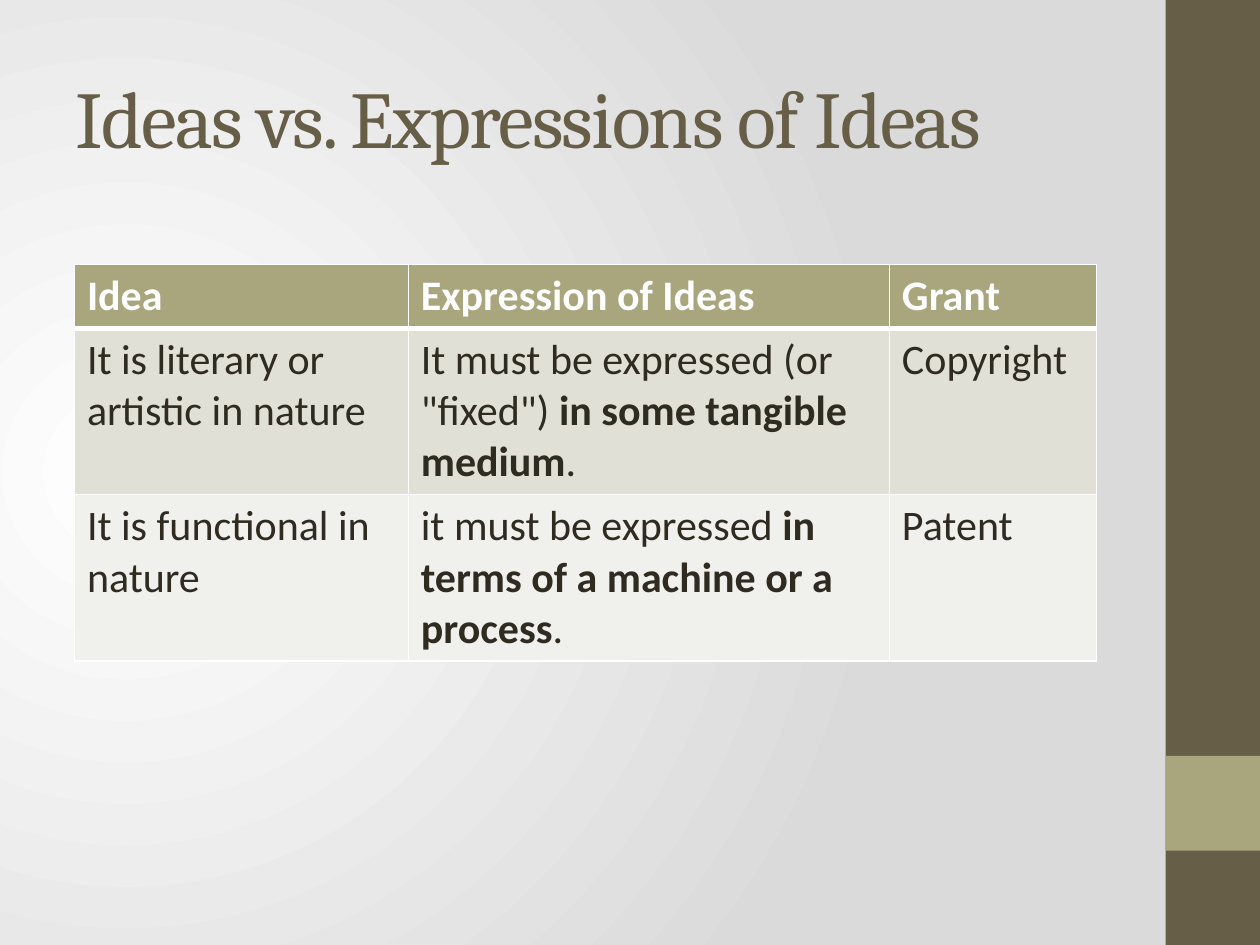
from dataclasses import dataclass

from lxml import etree
from pptx import Presentation
from pptx import util as u
from pptx.dml.color import RGBColor
from pptx.enum import shapes, text
from pptx.oxml import ns

BROWN = RGBColor(0x67, 0x5E, 0x47)
OLIVE = RGBColor(0xA9, 0xA5, 0x7C)
INK = RGBColor(0x2F, 0x2B, 0x20)
WHITE = RGBColor(0xFF, 0xFF, 0xFF)
GREY = RGBColor(0xDA, 0xDA, 0xDA)
DARK_BAND = RGBColor(0xE1, 0xE0, 0xD7)
LIGHT_BAND = RGBColor(0xF0, 0xF0, 0xEC)

THIN, THICK = u.Pt(0.96), u.Pt(3)
COLUMN_WIDTHS = (6.73, 9.7, 4.18)
ROW_HEIGHT = 1.03


@dataclass
class Bar:
    top: float
    height: float
    color: RGBColor


@dataclass
class Row:
    """Cells are lists of text pieces; every second piece is bold."""
    cells: list[list[str]]
    fill: RGBColor
    color: RGBColor = INK
    header: bool = False
    top_line: int = THIN
    bottom_line: int = THIN


BARS = [Bar(0, 19.05, BROWN), Bar(15.24, 1.91, OLIVE)]
ROWS = [
    Row([["Idea"], ["Expression of Ideas"], ["Grant"]],
        OLIVE, WHITE, header=True, bottom_line=THICK),
    Row([["It is literary or artistic in nature"],
         ['It must be expressed (or "fixed") ', "in some tangible medium", "."],
         ["Copyright"]],
        DARK_BAND, top_line=THICK),
    Row([["It is functional in nature"],
         ["it must be expressed ", "in terms of a machine or a process", "."],
         ["Patent"]],
        LIGHT_BAND),
]


def set_background(slide) -> None:
    """Fill the slide with a circular gradient centred near the left edge."""
    fill = slide.background.fill
    fill.gradient()
    for stop, color in zip(fill.gradient_stops, (WHITE, GREY)):
        stop.color.rgb = color
    gradient = slide.element.find(".//" + ns.qn("a:gradFill"))
    gradient.remove(gradient.find(ns.qn("a:lin")))
    circle = etree.SubElement(gradient, ns.qn("a:path"), {"path": "circle"})
    etree.SubElement(circle, ns.qn("a:fillToRect"),
                     {"l": "10000", "t": "50000", "r": "90000", "b": "50000"})


def add_bar(slide, bar: Bar) -> None:
    shape = slide.shapes.add_shape(
        shapes.MSO_SHAPE.RECTANGLE, u.Cm(23.5), u.Cm(bar.top), u.Cm(1.9), u.Cm(bar.height))
    shape.shadow.inherit = False
    shape.fill.solid()
    shape.fill.fore_color.rgb = bar.color
    shape.line.fill.background()


def set_title(slide, words: str) -> None:
    title = slide.shapes.title
    title.left, title.top = u.Cm(1.27), u.Cm(0.76)
    title.width, title.height = u.Cm(21.16), u.Cm(3.18)
    frame = title.text_frame
    frame.text = words
    frame.vertical_anchor = text.MSO_ANCHOR.MIDDLE
    frame.auto_size = text.MSO_AUTO_SIZE.NONE
    paragraph = frame.paragraphs[0]
    paragraph.alignment = text.PP_ALIGN.LEFT
    paragraph.font.name = "Cambria"
    paragraph.font.size = u.Pt(46)
    paragraph.font.color.rgb = BROWN
    paragraph.runs[0].font._element.set("spc", "-100")


def set_borders(cell, top: int, bottom: int) -> None:
    properties = cell._tc.get_or_add_tcPr()
    sides = (("lnL", THIN), ("lnR", THIN), ("lnT", top), ("lnB", bottom))
    for position, (side, width) in enumerate(sides):
        line = etree.Element(ns.qn("a:" + side), {"w": str(int(width))})
        solid = etree.SubElement(line, ns.qn("a:solidFill"))
        etree.SubElement(solid, ns.qn("a:srgbClr"), {"val": str(WHITE)})
        properties.insert(position, line)


def fill_cell(cell, pieces: list[str], row: Row) -> None:
    cell.fill.solid()
    cell.fill.fore_color.rgb = row.fill
    set_borders(cell, row.top_line, row.bottom_line)
    paragraph = cell.text_frame.paragraphs[0]
    paragraph.font.name = "Calibri"
    paragraph.font.size = u.Pt(24)
    paragraph.font.color.rgb = row.color
    for index, piece in enumerate(pieces):
        run = paragraph.add_run()
        run.text = piece
        run.font.bold = row.header or index % 2 == 1


def add_grant_table(slide, rows: list[Row]) -> None:
    table = slide.shapes.add_table(
        len(rows), len(COLUMN_WIDTHS), u.Cm(1.5), u.Cm(5.33),
        u.Cm(sum(COLUMN_WIDTHS)), u.Cm(ROW_HEIGHT * len(rows))).table
    for column, width in zip(table.columns, COLUMN_WIDTHS):
        column.width = u.Cm(width)
    for table_row, row in zip(table.rows, rows):
        table_row.height = u.Cm(ROW_HEIGHT)
        for cell, pieces in zip(table_row.cells, row.cells):
            fill_cell(cell, pieces, row)


def main() -> None:
    presentation = Presentation()
    presentation.slide_width, presentation.slide_height = u.Cm(25.4), u.Cm(19.05)
    slide = presentation.slides.add_slide(presentation.slide_layouts.get_by_name("Title Only"))
    set_background(slide)
    for bar in BARS:
        add_bar(slide, bar)
    set_title(slide, "Ideas vs. Expressions of Ideas")
    add_grant_table(slide, ROWS)
    presentation.save("out.pptx")


if __name__ == "__main__":
    main()
